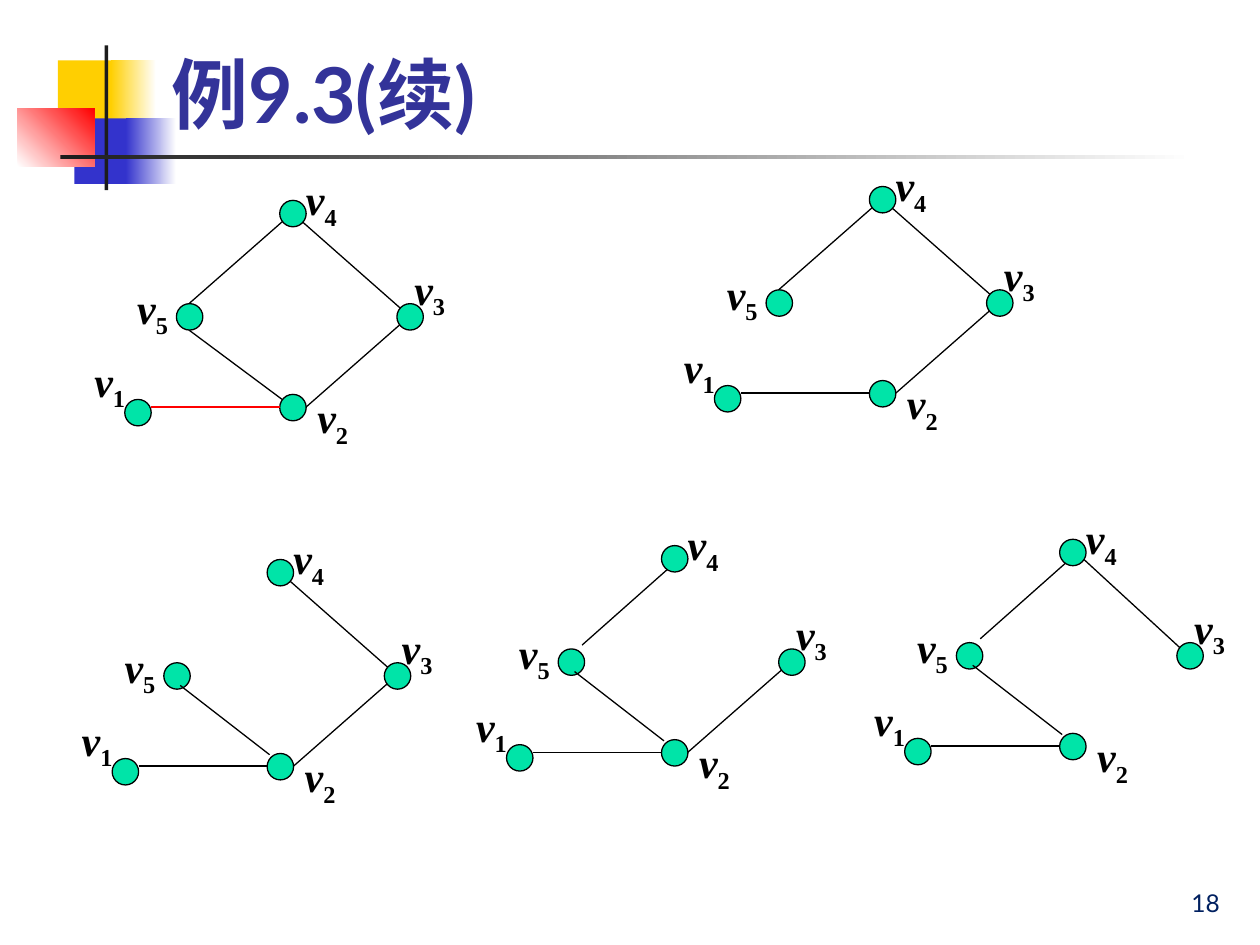
from lxml import etree
from pptx import Presentation
from pptx.dml.color import RGBColor
from pptx.enum.shapes import MSO_CONNECTOR, MSO_SHAPE
from pptx.enum.text import MSO_ANCHOR, MSO_AUTO_SIZE, PP_ALIGN
from pptx.oxml.ns import qn
from pptx.util import Inches, Pt

RECT, OVAL = MSO_SHAPE.RECTANGLE, MSO_SHAPE.OVAL
STRAIGHT = MSO_CONNECTOR.STRAIGHT
BOTTOM = MSO_ANCHOR.BOTTOM
FIT_SHAPE, FIT_NONE = MSO_AUTO_SIZE.SHAPE_TO_FIT_TEXT, MSO_AUTO_SIZE.NONE
LEFT, RIGHT = PP_ALIGN.LEFT, PP_ALIGN.RIGHT

# Offsets from the top-left corner of vertex v4
NODES = {4: (0, 0), 2: (0, 1.54), 5: (-0.82, 0.82), 3: (0.93, 0.82), 1: (-1.23, 1.58)}
LABELS = {1: (-1.57, 1.18), 2: (0.2, 1.47), 3: (0.97, 0.45), 4: (0.11, -0.26), 5: (-1.23, 0.6)}
EDGES = {
    "43": (0.1, 0.1, 1.03, 0.92),
    "45": (0.1, 0.1, -0.72, 0.82),
    "52": (-0.72, 1.03, 0.1, 1.64),
    "23": (0.21, 1.64, 1.03, 0.92),
    "12": (-1.02, 1.64, 0, 1.64),
    "45 short": (0.08, 0.16, -0.63, 0.79),
    "43 short": (0.16, 0.13, 1.03, 0.93),
    "52 short": (-0.69, 1, 0.02, 1.55),
}
FRONT_EDGES = ("12", "52 short")

# Position of v4, edges, colour of edge v1-v2
GRAPHS = [
    (6.9, 1.48, ("43", "45", "23", "12"), "000000"),
    (2.12, 4.44, ("43", "23", "12", "52 short"), "000000"),
    (5.25, 4.33, ("45 short", "23", "12", "52 short"), "000000"),
    (8.41, 4.28, ("45 short", "43 short", "12", "52 short"), "000000"),
    (2.22, 1.59, ("43", "45", "52", "23", "12"), "FF0000"),
]

# Left, top, width, height, colours, gradient angle
DECOR = [
    (0.46, 0.48, 0.48, 0.52, ["FFCF01"], 0),
    (0.88, 0.48, 0.36, 0.52, ["FFCF01", "FFFFFF"], 0),
    (0.59, 0.94, 0.46, 0.52, ["3333CC"], 0),
    (1, 0.94, 0.4, 0.52, ["3333CC", "FFFFFF"], 0),
    (0.14, 0.86, 0.61, 0.46, ["FFFFFF", "FF0000"], 45),
    (0.83, 0.36, 0.03, 1.15, ["1C1C1C"], 0),
    (0.48, 1.23, 9, 0.03, ["1C1C1C", "FFFFFF"], 0),
]


def rgb(value):
    return RGBColor.from_string(value)


def box(*lengths):
    return [Inches(v) for v in lengths]


class Deck:
    sans, serif = "Lato", "Times New Roman"
    ink, node_fill, title_color, number_color = "000000", "00E4A8", "333399", "002060"
    diameter, line_width = 0.21, Pt(0.75)

    def __init__(self, prs):
        self.s = prs.slides.add_slide(prs.slide_layouts[5])

    def style(self, p, name, size, color, bold=False):
        f = p.font
        f.name, f.size, f.bold = name, Pt(size), bold
        f.color.rgb = rgb(color)

    def block(self, x, y, w, h, colors, angle):
        sp = self.s.shapes.add_shape(RECT, *box(x, y, w, h))
        sp.shadow.inherit = False
        sp.line.fill.background()
        if len(colors) == 1:
            sp.fill.solid()
            sp.fill.fore_color.rgb = rgb(colors[0])
        else:
            sp.fill.gradient()
            sp.fill.gradient_angle = angle
            for stop, color in zip(sp.fill.gradient_stops, colors):
                stop.color.rgb = rgb(color)

    def title(self, text):
        sp = self.s.shapes.title
        sp.left, sp.top, sp.width, sp.height = box(1.26, 0.08, 8.52, 1.07)
        tf = sp.text_frame
        tf.vertical_anchor, tf.auto_size = BOTTOM, FIT_NONE
        p = tf.paragraphs[0]
        p.alignment = LEFT
        r = p.add_run()
        r.text = text
        self.style(p, self.sans, 44, self.title_color, True)
        # Text shadow
        effects = etree.SubElement(r._r.get_or_add_rPr(), qn("a:effectLst"))
        shadow = etree.SubElement(effects, qn("a:outerShdw"), dist="35921", dir="2700000")
        etree.SubElement(shadow, qn("a:srgbClr"), val="808080")

    def page_number(self, text):
        tf = self.s.shapes.add_textbox(*box(7.7, 6.83, 2.08, 0.5)).text_frame
        tf.word_wrap, tf.vertical_anchor = True, BOTTOM
        p = tf.paragraphs[0]
        p.text, p.alignment = text, RIGHT
        self.style(p, self.sans, 14, self.number_color)

    def edge(self, shapes, x, y, ends, color):
        x1, y1, x2, y2 = ends
        line = shapes.add_connector(STRAIGHT, *box(x + x1, y + y1, x + x2, y + y2))
        line.line.color.rgb = rgb(color)
        line.line.width = self.line_width
        etree.SubElement(line._element.spPr, qn("a:effectLst"))

    def node(self, shapes, x, y):
        sp = shapes.add_shape(OVAL, *box(x, y, self.diameter, self.diameter))
        sp.shadow.inherit = False
        sp.fill.solid()
        sp.fill.fore_color.rgb = rgb(self.node_fill)
        sp.line.color.rgb = rgb(self.ink)
        sp.line.width = self.line_width

    def label(self, shapes, x, y, index):
        tf = shapes.add_textbox(*box(x, y, 0.46, 0.5)).text_frame
        tf.word_wrap, tf.auto_size = False, FIT_SHAPE
        p = tf.paragraphs[0]
        self.style(p, self.serif, 24, self.ink, True)
        for text, italic in (("v", True), (str(index), False)):
            r = p.add_run()
            r.text, r.font.italic = text, italic
        r._r.get_or_add_rPr().set("baseline", "-25000")

    def graph(self, x, y, edges, first_color):
        shapes = self.s.shapes.add_group_shape().shapes
        for name in edges:
            if name not in FRONT_EDGES:
                self.edge(shapes, x, y, EDGES[name], self.ink)
        for dx, dy in NODES.values():
            self.node(shapes, x + dx, y + dy)
        for name in edges:
            if name in FRONT_EDGES:
                color = first_color if name == "12" else self.ink
                self.edge(shapes, x, y, EDGES[name], color)
        for index, (dx, dy) in LABELS.items():
            self.label(shapes, x + dx, y + dy, index)


def main():
    prs = Presentation()
    prs.slide_width, prs.slide_height = box(10, 7.5)
    deck = Deck(prs)
    # Corner decoration and heading
    for item in DECOR:
        deck.block(*item)
    deck.title("例9.3(续)")
    # Cycle graph and its spanning trees
    for item in GRAPHS:
        deck.graph(*item)
    deck.page_number("18")
    prs.save("out.pptx")


if __name__ == "__main__":
    main()
